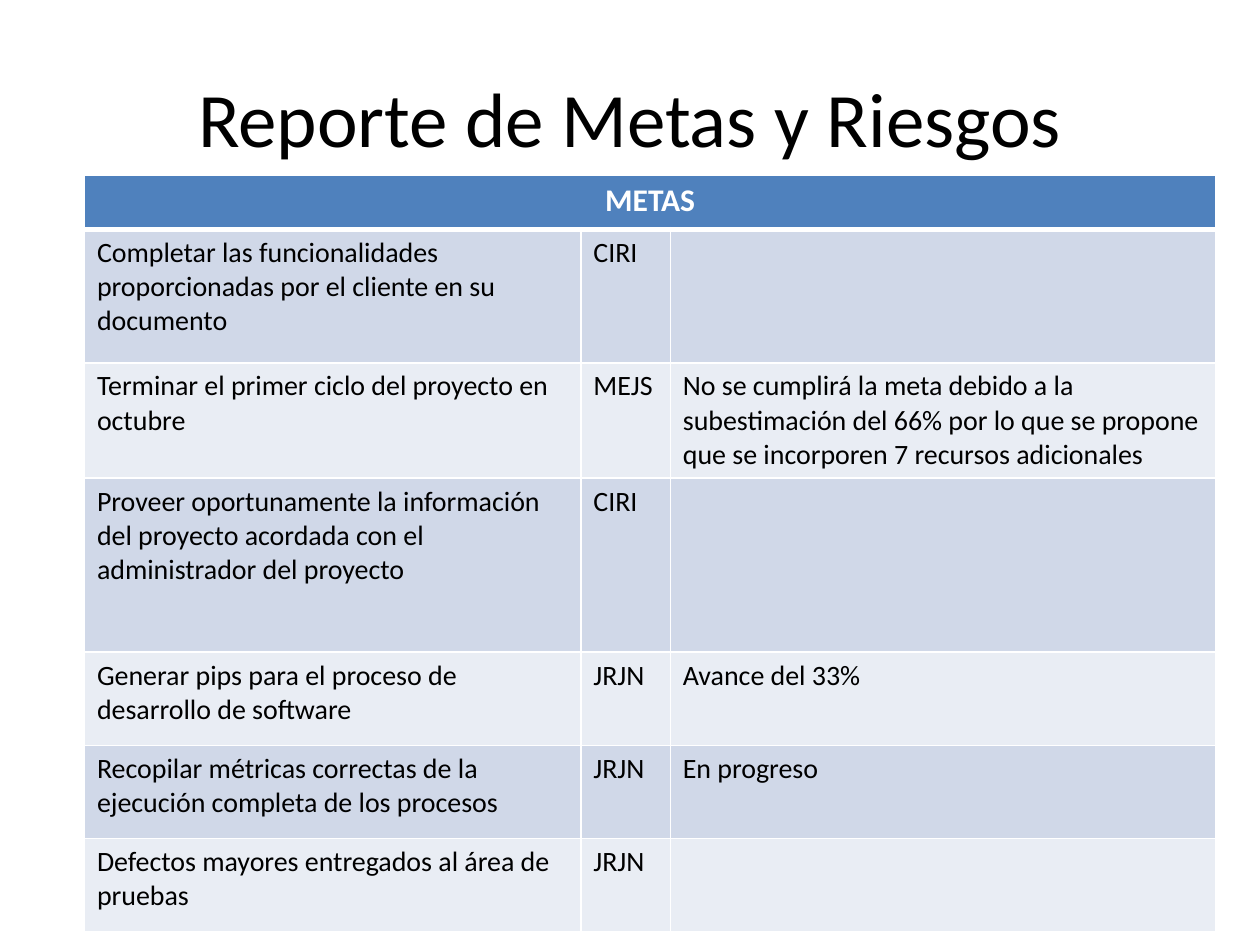
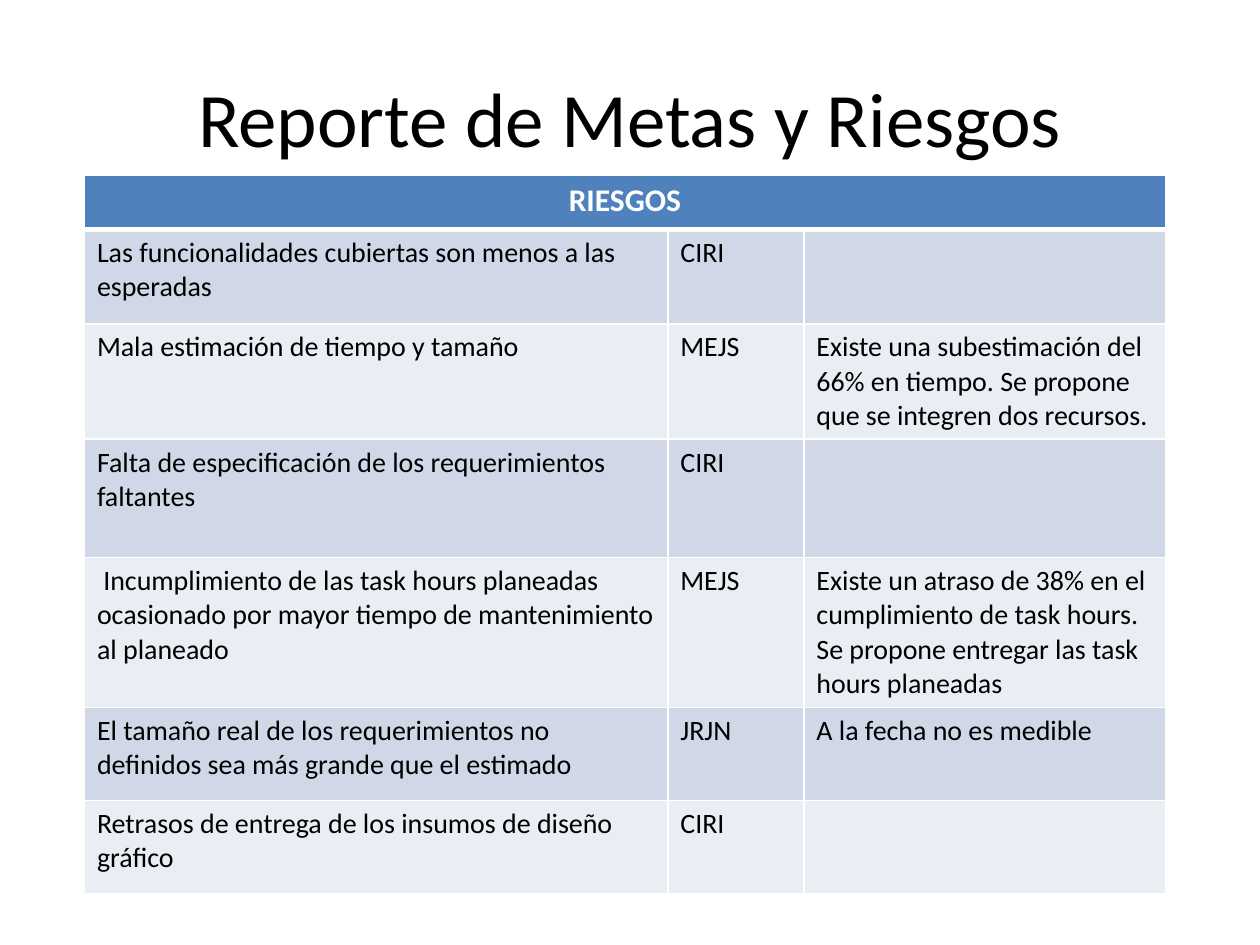
from dataclasses import dataclass

from lxml import etree
from pptx import Presentation
from pptx.dml.color import RGBColor
from pptx.enum.text import MSO_ANCHOR, PP_ALIGN
from pptx.oxml.ns import qn
from pptx.util import Inches, Pt

CENTER = PP_ALIGN.CENTER
LEFT = PP_ALIGN.LEFT
MIDDLE = MSO_ANCHOR.MIDDLE
FONT = "Calibri"
TITLE = "Reporte de Metas y Riesgos"
TITLE_ONLY = 5
COLORS = {
    "text": "000000",
    "light": "FFFFFF",
    "header": "4F81BD",
    "odd": "D0D8E8",
    "even": "E9EDF4",
}
TABLE_LEFT, TABLE_TOP = 0.67, 1.39
HEADER_HEIGHT = 0.43
THIN, THICK = 1, 3


@dataclass
class Entry:
    height: float
    subject: str
    owner: str
    status: str = ""


@dataclass
class Report:
    heading: str
    widths: list[float]
    entries: list[Entry]


REPORTS = [
    Report("METAS", [3.94, 0.71, 4.33], [
        Entry(1.06, "Completar las funcionalidades proporcionadas por el cliente en su documento", "CIRI"),
        Entry(0.91, "Terminar el primer ciclo del proyecto en octubre", "MEJS",
              "No se cumplirá la meta debido a la subestimación del 66% por lo que se propone "
              "que se incorporen 7 recursos adicionales"),
        Entry(1.38, "Proveer oportunamente la información del proyecto acordada con el "
              "administrador del proyecto", "CIRI"),
        Entry(0.74, "Generar pips para el proceso de desarrollo de software", "JRJN", "Avance del 33%"),
        Entry(0.74, "Recopilar métricas correctas de la ejecución completa de los procesos", "JRJN",
              "En progreso"),
        Entry(0.74, "Defectos mayores entregados al área de pruebas", "JRJN"),
    ]),
    Report("RIESGOS", [4.63, 1.08, 2.87], [
        Entry(0.75, "Las funcionalidades cubiertas son menos a las esperadas", "CIRI"),
        Entry(0.91, "Mala estimación de tiempo y tamaño", "MEJS",
              "Existe una subestimación del 66% en tiempo. Se propone que se integren dos recursos."),
        Entry(0.94, "Falta de especificación de los requerimientos faltantes", "CIRI"),
        Entry(1.19, " Incumplimiento de las task hours planeadas ocasionado por mayor tiempo de "
              "mantenimiento al planeado", "MEJS",
              "Existe un atraso de 38% en el cumplimiento de task hours. Se propone entregar "
              "las task hours planeadas"),
        Entry(0.74, "El tamaño real de los requerimientos no definidos sea más grande que el estimado",
              "JRJN", "A la fecha no es medible"),
        Entry(0.74, "Retrasos de entrega de los insumos de diseño gráfico", "CIRI"),
    ]),
]


def format_text(frame, size: int, color: str, bold: bool, align) -> None:
    for para in frame.paragraphs:
        para.alignment = align
        for span in para.runs:
            span.font.name = FONT
            span.font.size = Pt(size)
            span.font.bold = bold
            span.font.color.rgb = RGBColor.from_string(COLORS[color])


def set_borders(cell, top: int, bottom: int) -> None:
    properties = cell._tc.get_or_add_tcPr()
    widths = {"lnL": THIN, "lnR": THIN, "lnT": top, "lnB": bottom}
    for position, (side, width) in enumerate(widths.items()):
        line = etree.Element(qn(f"a:{side}"), w=str(Pt(width)))
        fill = etree.SubElement(line, qn("a:solidFill"))
        etree.SubElement(fill, qn("a:srgbClr"), val=COLORS["light"])
        properties.insert(position, line)


def add_title(page) -> None:
    title = page.shapes.title
    title.left, title.top = Inches(0.5), Inches(0.3)
    title.width, title.height = Inches(9), Inches(1.25)
    title.text_frame.text = TITLE
    title.text_frame.vertical_anchor = MIDDLE
    format_text(title.text_frame, 44, "text", False, CENTER)


def add_report(page, report: Report) -> None:
    heights = [HEADER_HEIGHT] + [entry.height for entry in report.entries]
    table = page.shapes.add_table(
        len(heights), len(report.widths), Inches(TABLE_LEFT), Inches(TABLE_TOP),
        Inches(sum(report.widths)), Inches(sum(heights))).table
    for column, width in zip(table.columns, report.widths):
        column.width = Inches(width)
    texts = [[report.heading, "", ""]]
    texts += [[entry.subject, entry.owner, entry.status] for entry in report.entries]
    for index, (row, height, values) in enumerate(zip(table.rows, heights, texts)):
        row.height = Inches(height)
        header = index == 0
        band = "header" if header else "odd" if index % 2 else "even"
        for cell, value in zip(row.cells, values):
            cell.fill.solid()
            cell.fill.fore_color.rgb = RGBColor.from_string(COLORS[band])
            set_borders(cell, THICK if index == 1 else THIN, THICK if header else THIN)
            if value:
                cell.text_frame.text = value
                format_text(cell.text_frame, 18 if header else 16,
                            "light" if header else "text", header, CENTER if header else LEFT)
    table.cell(0, 0).merge(table.cell(0, len(report.widths) - 1))


deck = Presentation()
deck.slide_width, deck.slide_height = Inches(10), Inches(7.5)
for report in REPORTS:
    page = deck.slides.add_slide(deck.slide_layouts[TITLE_ONLY])
    add_title(page)
    add_report(page, report)
deck.save("out.pptx")
